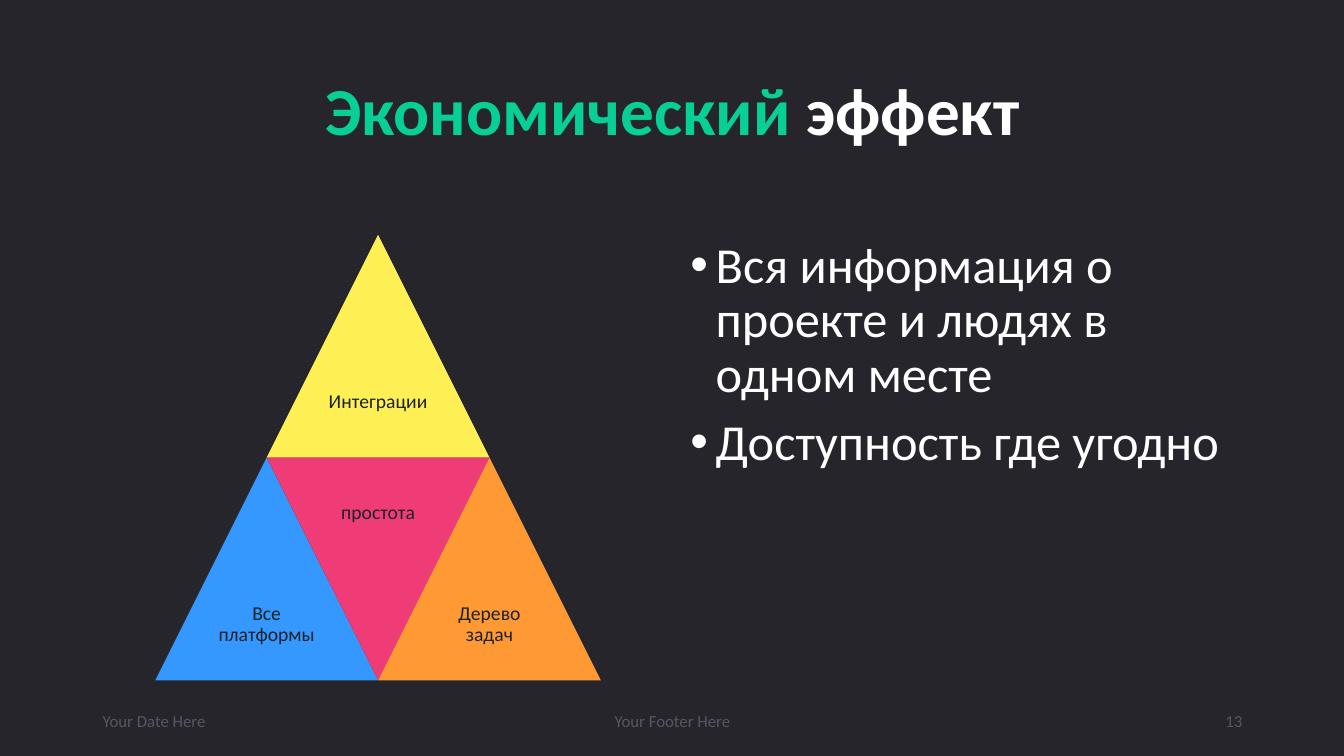
from dataclasses import dataclass

from lxml.etree import SubElement
from pptx import Presentation
from pptx.dml.color import RGBColor as Rgb
from pptx.enum.shapes import MSO_SHAPE as Shape
from pptx.enum.text import MSO_ANCHOR as Anchor, PP_ALIGN as Align
from pptx.oxml.ns import qn
from pptx.util import Inches, Pt


@dataclass(frozen=True)
class Theme:
    """Colours, type sizes and font of the slide."""
    font: str = "Calibri"
    back: str = "25252B"
    ink: str = "1C2228"
    white: str = "FFFFFF"
    green: str = "08CF96"
    grey: str = "575765"
    yellow: str = "FDEF54"
    blue: str = "3598FE"
    pink: str = "EF3C77"
    orange: str = "FF9933"
    title: int = 48
    body: int = 36
    label: int = 14
    foot: int = 12


THEME = Theme()


def add_run(para, text, size, color, bold=False):
    """Append one styled run to a paragraph."""
    run = para.add_run()
    run.text = text
    font = run.font
    font.name, font.size, font.bold = THEME.font, Pt(size), bold
    font.color.rgb = Rgb.from_string(color)


def add_box(slide, left, top, width, height, anchor=Anchor.MIDDLE, inset=None):
    """Add a wrapping text box and return its text frame."""
    box = slide.shapes.add_textbox(*map(Inches, (left, top, width, height)))
    frame = box.text_frame
    frame.word_wrap = True
    frame.vertical_anchor = anchor
    if inset is not None:
        frame.margin_left = frame.margin_right = Inches(inset)
        frame.margin_top = frame.margin_bottom = Inches(inset)
    return frame


def add_title(slide, parts):
    """Add the centred title from pairs of text and colour."""
    para = add_box(slide, 0.92, 0.4, 11.5, 1.45).paragraphs[0]
    para.alignment, para.line_spacing = Align.CENTER, 0.9
    for text, color in parts:
        add_run(para, text, THEME.title, color, True)


def add_tile(slide, left, top, side, fill, text, flip=False):
    """Add one triangle of the pyramid with its label in the wide half."""
    tile = slide.shapes.add_shape(
        Shape.ISOSCELES_TRIANGLE, *map(Inches, (left, top, side, side)))
    tile.shadow.inherit = False
    tile.rotation = 180 if flip else 0
    tile.fill.solid()
    tile.fill.fore_color.rgb = Rgb.from_string(fill)
    tile.line.fill.background()
    half = side / 2
    drop = 0 if flip else half
    frame = add_box(slide, left + half / 2, top + drop, half, half, inset=0.06)
    para = frame.paragraphs[0]
    para.alignment, para.line_spacing = Align.CENTER, 0.9
    add_run(para, text, THEME.label, THEME.ink)


def add_list(slide, items):
    """Add the bulleted list."""
    frame = add_box(slide, 6.75, 2.33, 5.67, 4.42, Anchor.TOP)
    for i, text in enumerate(items):
        para = frame.add_paragraph() if i else frame.paragraphs[0]
        para.line_spacing = 0.9
        if i:
            para.space_before = Pt(10)
        props = para._p.get_or_add_pPr()
        props.set("marL", str(Inches(0.25)))
        props.set("indent", str(-Inches(0.25)))
        SubElement(props, qn("a:buFont"), typeface="Arial")
        SubElement(props, qn("a:buChar"), char="•")
        add_run(para, text, THEME.body, THEME.white)


def add_foot(slide, left, width, text, align):
    """Add one footer field."""
    para = add_box(slide, left, 6.95, width, 0.4).paragraphs[0]
    para.alignment = align
    add_run(para, text, THEME.foot, THEME.grey)


def main():
    """Build and save the slide."""
    deck = Presentation()
    deck.slide_width, deck.slide_height = Inches(13.33), Inches(7.5)
    slide = deck.slides.add_slide(deck.slide_layouts[6])
    slide.background.fill.solid()
    slide.background.fill.fore_color.rgb = Rgb.from_string(THEME.back)

    add_title(slide, [("Экономический ", THEME.green), ("эффект", THEME.white)])

    left, top, side = 1.54, 2.33, 2.21
    tiles = [
        (1, 0, THEME.yellow, "Интеграции", False),
        (0, 1, THEME.blue, "Все платформы", False),
        (1, 1, THEME.pink, "простота", True),
        (2, 1, THEME.orange, "Дерево задач", False),
    ]
    for col, row, fill, text, flip in tiles:
        add_tile(slide, left + col * side / 2, top + row * side, side,
                 fill, text, flip)

    add_list(slide, ["Вся информация о проекте и людях в одном месте",
                     "Доступность где угодно"])

    add_foot(slide, 0.92, 3, "Your Date Here", Align.LEFT)
    add_foot(slide, 4.42, 4.5, "Your Footer Here", Align.CENTER)
    add_foot(slide, 9.42, 3, "13", Align.RIGHT)
    deck.save("out.pptx")


if __name__ == "__main__":
    main()
